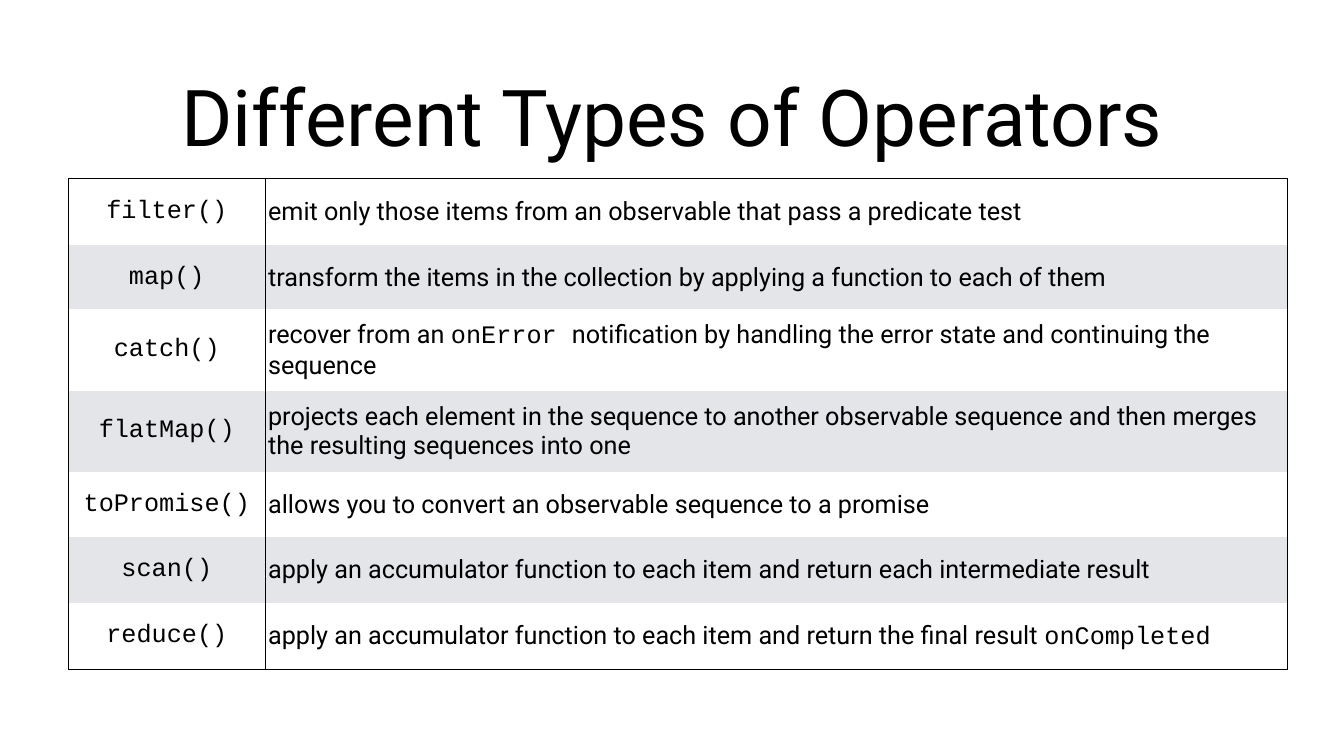
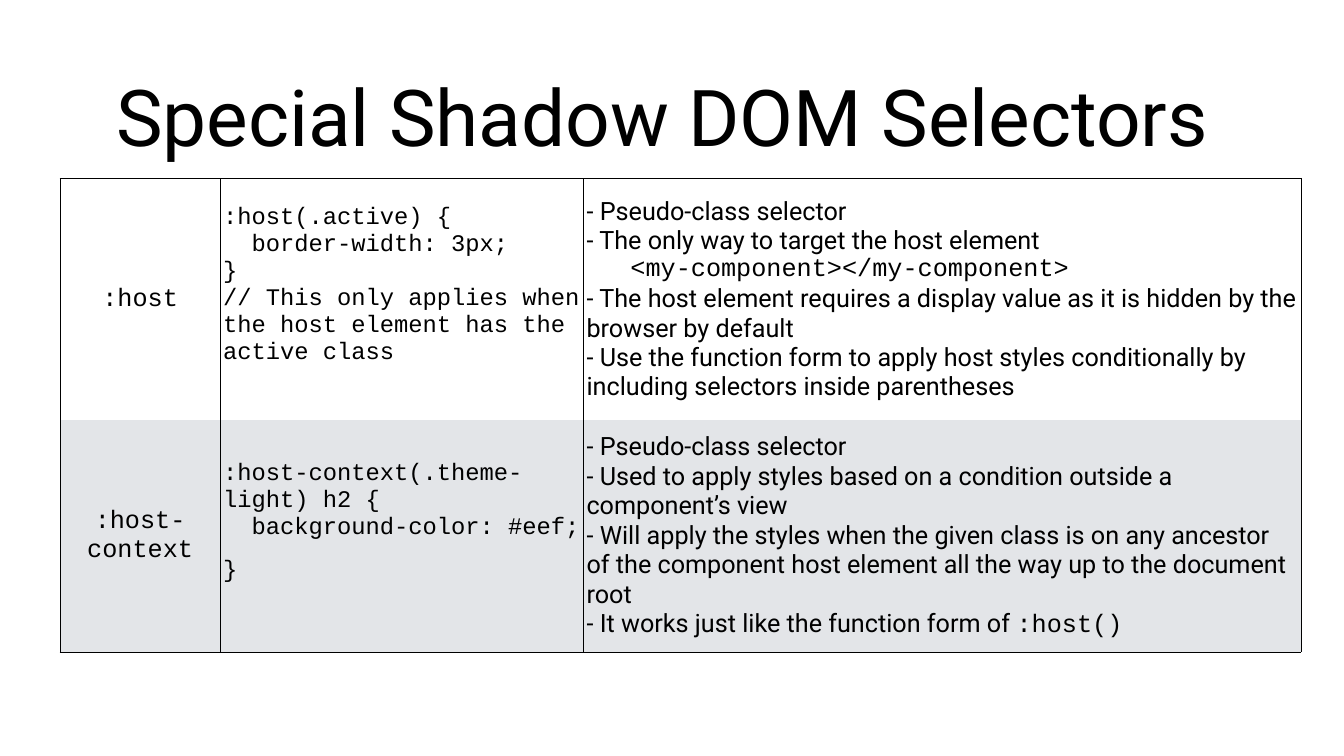
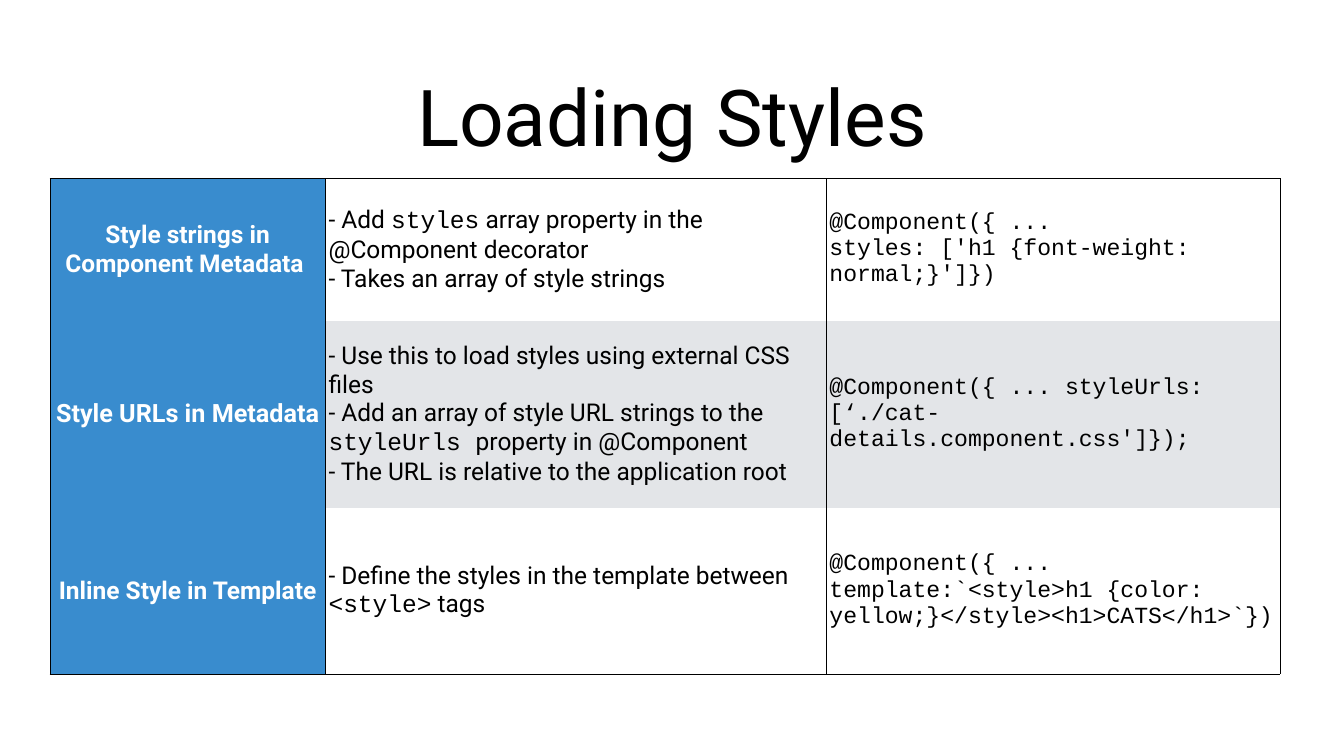
from lxml import etree
from pptx import Presentation
from pptx.dml.color import RGBColor
from pptx.enum.text import MSO_ANCHOR, PP_ALIGN
from pptx.oxml.ns import qn
from pptx.util import Inches, Pt

CENTER, LEFT = PP_ALIGN.CENTER, PP_ALIGN.LEFT
MIDDLE = MSO_ANCHOR.MIDDLE
BLACK = RGBColor(0x00, 0x00, 0x00)
WHITE = RGBColor(0xFF, 0xFF, 0xFF)
BAND = RGBColor(0xE3, 0xE5, 0xE8)
BLUE = RGBColor(0x39, 0x8C, 0xCE)
BODY_FONT, CODE_FONT = "Roboto", "Courier New"
INSET = Inches(0.06)
TABLE_TOP = 3.54

# A cell is a list of paragraphs; the runs of a paragraph alternate
# between the body font and the code font, starting with the body font.
OPERATORS = [
    [[("", "filter()")],
     [("emit only those items from an observable that pass a predicate test",)]],
    [[("", "map()")],
     [("transform the items in the collection by applying a function to each of them",)]],
    [[("", "catch()")],
     [("recover from an ", "onError ",
       "notification by handling the error state and continuing the sequence")]],
    [[("", "flatMap()")],
     [("projects each element in the sequence to another observable sequence "
       "and then merges the resulting sequences into one",)]],
    [[("", "toPromise()")],
     [("allows you to convert an observable sequence to a promise",)]],
    [[("", "scan()")],
     [("apply an accumulator function to each item and return each intermediate result",)]],
    [[("", "reduce()")],
     [("apply an accumulator function to each item and return the final result ",
       "onCompleted")]],
]
SELECTORS = [
    [[("", ":host")],
     [("", ":host(.active) { \n  border-width: 3px; \n}\n"
           "// This only applies when the host element has the active class")],
     [("- Pseudo-class selector",),
      ("- The only way to target the host element",),
      ("", "<my-component></my-component>"),
      ("- The host element requires a display value as it is hidden by the browser by default",),
      ("- Use the function form to apply host styles conditionally by "
       "including selectors inside parentheses",)]],
    [[("", ":host-context")],
     [("", ":host-context(.theme-light) h2 { \n  background-color: #eef; \n}")],
     [("- Pseudo-class selector",),
      ("- Used to apply styles based on a condition outside a component’s view",),
      ("- Will apply the styles when the given class is on any ancestor of the "
       "component host element all the way up to the document root",),
      ("- It works just like the function form of ", ":host()")]],
]
STYLES = [
    [[("Style strings in Component Metadata ",)],
     [("- Add ", "styles", " array property in the @Component decorator"),
      ("- Takes an array of style strings",)],
     [("", "@Component({ ... \nstyles: ['h1 {font-weight: normal;}']})")]],
    [[("Style URLs in Metadata",)],
     [("- Use this to load styles using external CSS files",),
      ("- Add an array of style URL strings to the ", "styleUrls ", "property in @Component"),
      ("- The URL is relative to the application root",)],
     [("", "@Component({ ... styleUrls: [‘./cat-details.component.css']});")]],
    [[("Inline Style in Template",)],
     [("- Define the styles in the template between ", "<style>", " tags")],
     [("", "@Component({ ... template:`<style>h1 {color: yellow;}</style><h1>CATS</h1>`})")]],
]

# title, table left, column widths, row heights, text size per column, rows
SLIDES = [
    ("Different Types of Operators", 1.36, [3.9, 20.28],
     [1.33, 1.27, 1.61, 1.61, 1.3, 1.3, 1.33], [36, 36], OPERATORS),
    ("Special Shadow DOM Selectors ", 1.19, [3.18, 7.21, 14.24],
     [4.8, 4.6], [36, 34, 36], SELECTORS),
    ("Loading Styles", 0.99, [5.47, 9.94, 9],
     [2.82, 3.72, 3.29], [35, 35, 33], STYLES),
]


def add_run(paragraph, text, font_name, size, color=BLACK, bold=False):
    """Add text in one font, turning each newline into a line break."""
    for number, line in enumerate(text.split("\n")):
        if number:
            paragraph.add_line_break()
        run = paragraph.add_run()
        run.text = line
        run.font.name = font_name
        run.font.size = Pt(size)
        run.font.color.rgb = color
        run.font.bold = bold


def set_borders(cell, top, bottom):
    """Rule both sides of a cell, and its top and bottom where asked."""
    properties = cell._tc.get_or_add_tcPr()
    for side, ruled in (("L", True), ("R", True), ("T", top), ("B", bottom)):
        line = etree.SubElement(properties, qn("a:ln" + side), w=str(Pt(1)))
        if ruled:
            fill = etree.SubElement(line, qn("a:solidFill"))
            etree.SubElement(fill, qn("a:srgbClr"), val=str(BLACK))
        else:
            etree.SubElement(line, qn("a:noFill"))


prs = Presentation()
prs.slide_width, prs.slide_height = Inches(26.67), Inches(15)

for title, left, widths, heights, sizes, rows in SLIDES:
    slide = prs.slides.add_slide(prs.slide_layouts[6])
    slide.background.fill.solid()
    slide.background.fill.fore_color.rgb = WHITE

    heading = slide.shapes.add_textbox(
        Inches(1.85), Inches(1.04), Inches(22.97), Inches(2.5)).text_frame
    heading.word_wrap = True
    heading.vertical_anchor = MIDDLE
    heading.margin_left = heading.margin_right = INSET
    heading.margin_top = heading.margin_bottom = INSET
    heading.paragraphs[0].alignment = CENTER
    add_run(heading.paragraphs[0], title, BODY_FONT, 112)

    table = slide.shapes.add_table(
        len(rows), len(widths), Inches(left), Inches(TABLE_TOP),
        Inches(sum(widths)), Inches(sum(heights))).table
    table.first_row = table.horz_banding = False
    for column, width in zip(table.columns, widths):
        column.width = Inches(width)

    for r, (row, height) in enumerate(zip(rows, heights)):
        table.rows[r].height = Inches(height)
        for c, (paragraphs, size) in enumerate(zip(row, sizes)):
            cell = table.cell(r, c)
            blue_header = rows is STYLES and c == 0
            set_borders(cell, r == 0, r == len(rows) - 1)
            cell.fill.solid()
            cell.fill.fore_color.rgb = BLUE if blue_header else (WHITE, BAND)[r % 2]
            cell.vertical_anchor = MIDDLE
            cell.margin_left = cell.margin_right = INSET
            cell.margin_top = cell.margin_bottom = INSET
            if rows is SELECTORS and c == 1:
                cell.margin_bottom = Inches(0.6)  # lifts the code above the middle
            if row is STYLES[1] and c == 0:
                size = 36

            for number, runs in enumerate(paragraphs):
                frame = cell.text_frame
                paragraph = frame.add_paragraph() if number else frame.paragraphs[0]
                paragraph.alignment = CENTER if c == 0 else LEFT
                if number and not runs[0]:  # code example inside a list
                    paragraph._p.get_or_add_pPr().set("marL", str(Inches(0.87)))
                for position, text in enumerate(runs):
                    if text:
                        add_run(paragraph, text, (BODY_FONT, CODE_FONT)[position % 2], size,
                                WHITE if blue_header else BLACK, blue_header)

prs.save("out.pptx")
